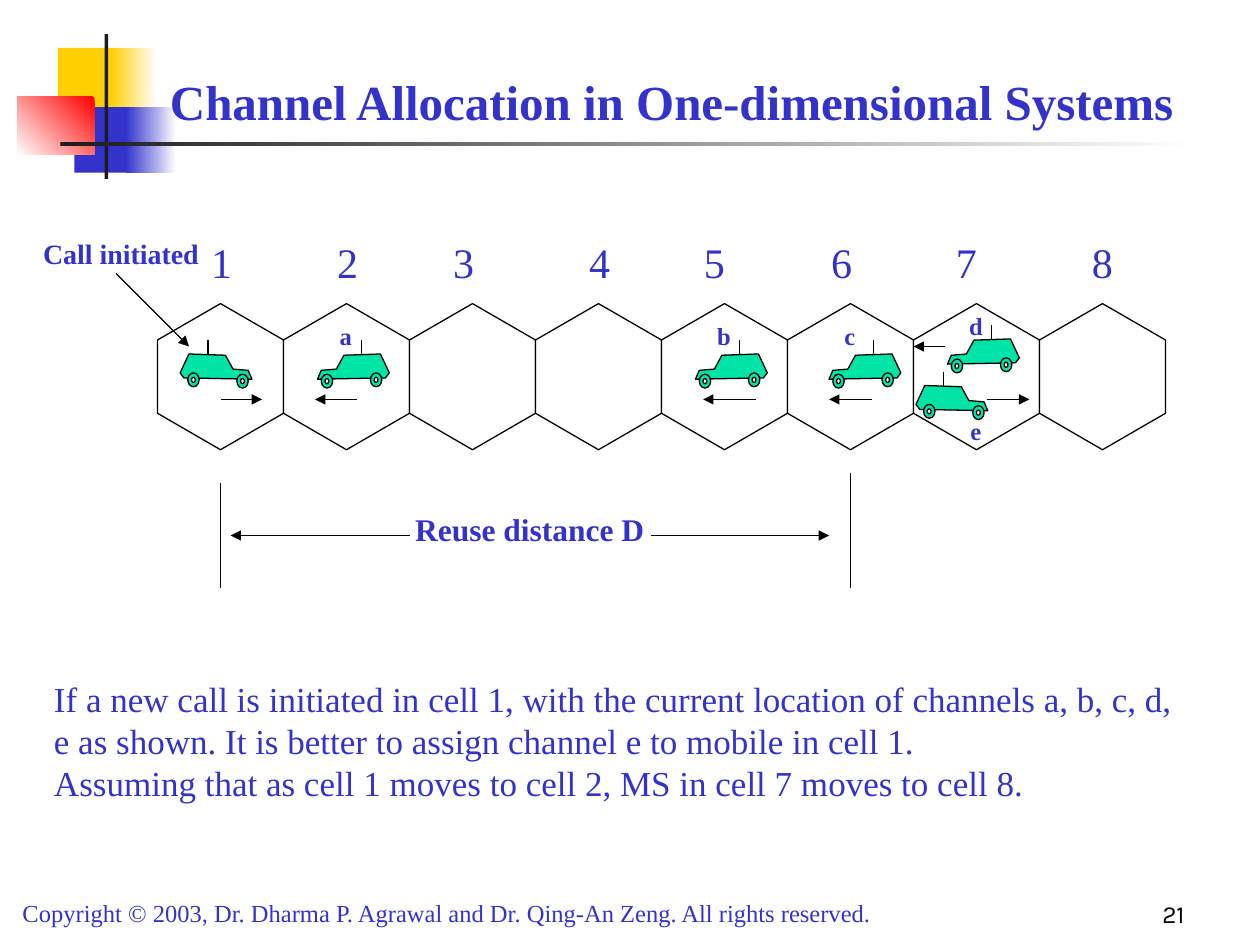
from dataclasses import dataclass

import pptx
import pptx.dml.color
import pptx.enum.shapes
import pptx.enum.text
import pptx.oxml
import pptx.oxml.ns
import pptx.util

Inches = pptx.util.Inches
SHAPE = pptx.enum.shapes.MSO_SHAPE
ALIGN = pptx.enum.text.PP_ALIGN
ANCHOR = pptx.enum.text.MSO_ANCHOR


@dataclass(frozen=True)
class Theme:
    text: str = "3333CC"
    ink: str = "000000"
    paper: str = "FFFFFF"
    car: str = "00E4A8"
    yellow: str = "FFCF01"
    blue: str = "3333CC"
    red: str = "FF0000"
    bar: str = "1C1C1C"
    font: str = "Times New Roman"
    number_font: str = "Karla"
    title: int = 28
    cell_number: int = 24
    body: int = 20
    distance: int = 18
    callout: int = 16
    small: int = 14
    line: float = 0.75


THEME = Theme()

FIRST_CELL_X = 1.75
CELL_Y = 2.99
CELL_WIDTH, CELL_HEIGHT = 1, 1.16
CELL_COUNT = 8
NUMBER_STOPS = (0.49, 1.49, 2.41, 3.49, 4.4, 5.41, 6.4, 7.48)

# Car measured from its top left corner, driving to the right
CAR_LENGTH = 0.57
CAR_BODY = ((0, 0.26), (0.07, 0.11), (0.36, 0.12), (0.42, 0.23),
            (0.54, 0.24), (0.57, 0.31), (0.03, 0.3))
CAR_WHEELS = ((0.105, 0.315), (0.495, 0.325))
CAR_ANTENNA_X = 0.22


def rgb(value):
    return pptx.dml.color.RGBColor.from_string(value)


def add_text(slide, text, left, top, width, height, *, size, font=THEME.font,
             color=THEME.text, bold=False, align=ALIGN.LEFT,
             anchor=ANCHOR.TOP, tab_stops=()):
    box = slide.shapes.add_textbox(Inches(left), Inches(top),
                                   Inches(width), Inches(height))
    frame = box.text_frame
    frame.word_wrap = True
    frame.vertical_anchor = anchor
    frame.text = text
    for paragraph in frame.paragraphs:
        paragraph.alignment = align
        paragraph.font.size = pptx.util.Pt(size)
        for run in paragraph.runs:
            run.font.size = pptx.util.Pt(size)
            run.font.name = font
            run.font.bold = bold
            run.font.color.rgb = rgb(color)
        if tab_stops:
            add_centred_tabs(paragraph, tab_stops)


def add_centred_tabs(paragraph, stops):
    properties = paragraph._p.get_or_add_pPr()
    tabs = pptx.oxml.parse_xml(f"<a:tabLst {pptx.oxml.ns.nsdecls('a')}/>")
    for stop in stops:
        tab = tabs.makeelement(pptx.oxml.ns.qn("a:tab"),
                               {"pos": str(Inches(stop)), "algn": "ctr"})
        tabs.append(tab)
    # The schema wants the tab list ahead of the default run properties
    properties.insert(0, tabs)


def outline(shape, fill):
    shape.shadow.inherit = False
    shape.fill.solid()
    shape.fill.fore_color.rgb = rgb(fill)
    shape.line.color.rgb = rgb(THEME.ink)
    shape.line.width = pptx.util.Pt(THEME.line)


def add_centred_shape(shapes, kind, x, y, width, height, fill):
    shape = shapes.add_shape(kind, Inches(x - width / 2), Inches(y - height / 2),
                             Inches(width), Inches(height))
    outline(shape, fill)
    return shape


def add_line(shapes, start, end, arrow=False):
    line = shapes.add_connector(pptx.enum.shapes.MSO_CONNECTOR.STRAIGHT,
                                *map(Inches, start + end))
    line.line.color.rgb = rgb(THEME.ink)
    line.line.width = pptx.util.Pt(THEME.line)
    properties = line._element.spPr
    namespace = pptx.oxml.ns.nsdecls("a")
    if arrow:
        line.line._get_or_add_ln().append(
            pptx.oxml.parse_xml(f'<a:tailEnd {namespace} type="triangle"/>'))
    properties.append(pptx.oxml.parse_xml(f"<a:effectLst {namespace}/>"))


def add_block(slide, left, top, width, height, color, fade_to=None, angle=0):
    """Add a borderless rectangle, plain or fading to a second colour."""
    block = slide.shapes.add_shape(SHAPE.RECTANGLE, Inches(left), Inches(top),
                                   Inches(width), Inches(height))
    block.shadow.inherit = False
    block.line.fill.background()
    if fade_to is None:
        block.fill.solid()
        block.fill.fore_color.rgb = rgb(color)
        return
    block.fill.gradient()
    block.fill.gradient_angle = angle
    for stop, stop_color in zip(block.fill.gradient_stops, (color, fade_to)):
        stop.color.rgb = rgb(stop_color)


def add_cell(slide, x):
    # Drawn lying down, then turned so that a corner points upwards
    cell = add_centred_shape(slide.shapes, SHAPE.HEXAGON, x, CELL_Y,
                             CELL_HEIGHT, CELL_WIDTH, THEME.paper)
    cell.adjustments[0] = 0.289
    cell.adjustments[1] = 1.155
    cell.rotation = 90


def add_car(slide, left, top, faces_right):
    def place(x, y):
        return left + (x if faces_right else CAR_LENGTH - x), top + y

    parts = slide.shapes.add_group_shape().shapes
    corners = [tuple(map(Inches, place(*corner))) for corner in CAR_BODY]
    body = parts.build_freeform(*corners[0])
    body.add_line_segments(corners[1:], close=True)
    outline(body.convert_to_shape(), THEME.car)
    for wheel in CAR_WHEELS:
        x, y = place(*wheel)
        add_centred_shape(parts, SHAPE.OVAL, x, y, 0.09, 0.11, THEME.car)
        add_centred_shape(parts, SHAPE.OVAL, x, y, 0.03, 0.04, THEME.paper)
    add_line(parts, place(CAR_ANTENNA_X, 0.11), place(CAR_ANTENNA_X, 0))


def add_decoration(slide):
    add_block(slide, 0.46, 0.38, 0.48, 0.52, THEME.yellow)
    add_block(slide, 0.88, 0.38, 0.36, 0.52, THEME.yellow, THEME.paper)
    add_block(slide, 0.59, 0.85, 0.46, 0.52, THEME.blue)
    add_block(slide, 1, 0.85, 0.4, 0.52, THEME.blue, THEME.paper)
    add_block(slide, 0.14, 0.77, 0.61, 0.46, THEME.red, THEME.paper, angle=225)
    add_block(slide, 0.83, 0.27, 0.03, 1.15, THEME.bar)
    add_block(slide, 0.48, 1.13, 9, 0.03, THEME.bar, THEME.paper)


def add_cells(slide):
    for index in range(CELL_COUNT):
        add_cell(slide, FIRST_CELL_X + index * CELL_WIDTH)
    numbers = "".join(f"\t{index + 1}" for index in range(CELL_COUNT))
    add_text(slide, numbers, 1.17, 1.83, 8.42, 0.5,
             size=THEME.cell_number, tab_stops=NUMBER_STOPS)


def add_mobiles(slide):
    for left, top, faces_right in ((1.43, 2.7, True), (2.52, 2.7, False),
                                   (5.52, 2.7, False), (6.58, 2.7, False),
                                   (7.52, 2.58, False), (7.27, 2.95, True)):
        add_car(slide, left, top, faces_right)
    for start_x, end_x, y in ((1.75, 2.08, 3.17), (2.83, 2.5, 3.17),
                              (6, 5.58, 3.17), (6.92, 6.58, 3.17),
                              (7.83, 8.17, 3.17), (7.5, 7.25, 2.75)):
        add_line(slide.shapes, (start_x, y), (end_x, y), arrow=True)
    for channel, left, top in (("a", 2.58, 2.5), ("b", 5.58, 2.5), ("c", 6.58, 2.5),
                               ("d", 7.58, 2.42), ("e", 7.58, 3.25)):
        add_text(slide, channel, left, top, 0.33, 0.34, size=THEME.small,
                 bold=True, align=ALIGN.CENTER)
    add_text(slide, "Call initiated", 0.17, 1.83, 1.58, 0.37,
             size=THEME.callout, bold=True, align=ALIGN.CENTER)
    add_line(slide.shapes, (0.92, 2.17), (1.5, 2.75), arrow=True)


def add_reuse_distance(slide):
    for x, top in ((1.75, 3.83), (6.75, 3.75)):
        add_line(slide.shapes, (x, top), (x, 4.67))
    for start_x, end_x in ((3.25, 1.83), (5.17, 6.58)):
        add_line(slide.shapes, (start_x, 4.25), (end_x, 4.25), arrow=True)
    add_text(slide, "Reuse distance D", 2.83, 4, 2.75, 0.4,
             size=THEME.distance, bold=True, align=ALIGN.CENTER)


def main():
    deck = pptx.Presentation()
    deck.slide_width, deck.slide_height = Inches(10), Inches(7.5)
    slide = deck.slides.add_slide(deck.slide_layouts[6])
    add_decoration(slide)
    add_text(slide, "Channel Allocation in One-dimensional Systems",
             0.83, 0.33, 9, 0.75, size=THEME.title, bold=True,
             align=ALIGN.CENTER, anchor=ANCHOR.BOTTOM)
    add_cells(slide)
    add_mobiles(slide)
    add_reuse_distance(slide)
    add_text(slide, "If a new call is initiated in cell 1, with the current location of "
             "channels a, b, c, d, e as shown. It is better to assign channel e to "
             "mobile in cell 1.\nAssuming that as cell 1 moves to cell 2, MS in cell 7 "
             "moves to cell 8.", 0.33, 5.33, 9.25, 1.1, size=THEME.body)
    add_text(slide, "Copyright © 2003, Dr. Dharma P. Agrawal and Dr. Qing-An Zeng. "
             "All rights reserved.", 0.08, 7.08, 7.58, 0.34, size=THEME.small)
    add_text(slide, "21", 7.42, 6.92, 2.08, 0.5, size=THEME.small,
             font=THEME.number_font, color=THEME.ink, align=ALIGN.RIGHT,
             anchor=ANCHOR.BOTTOM)
    deck.save("out.pptx")


if __name__ == "__main__":
    main()
